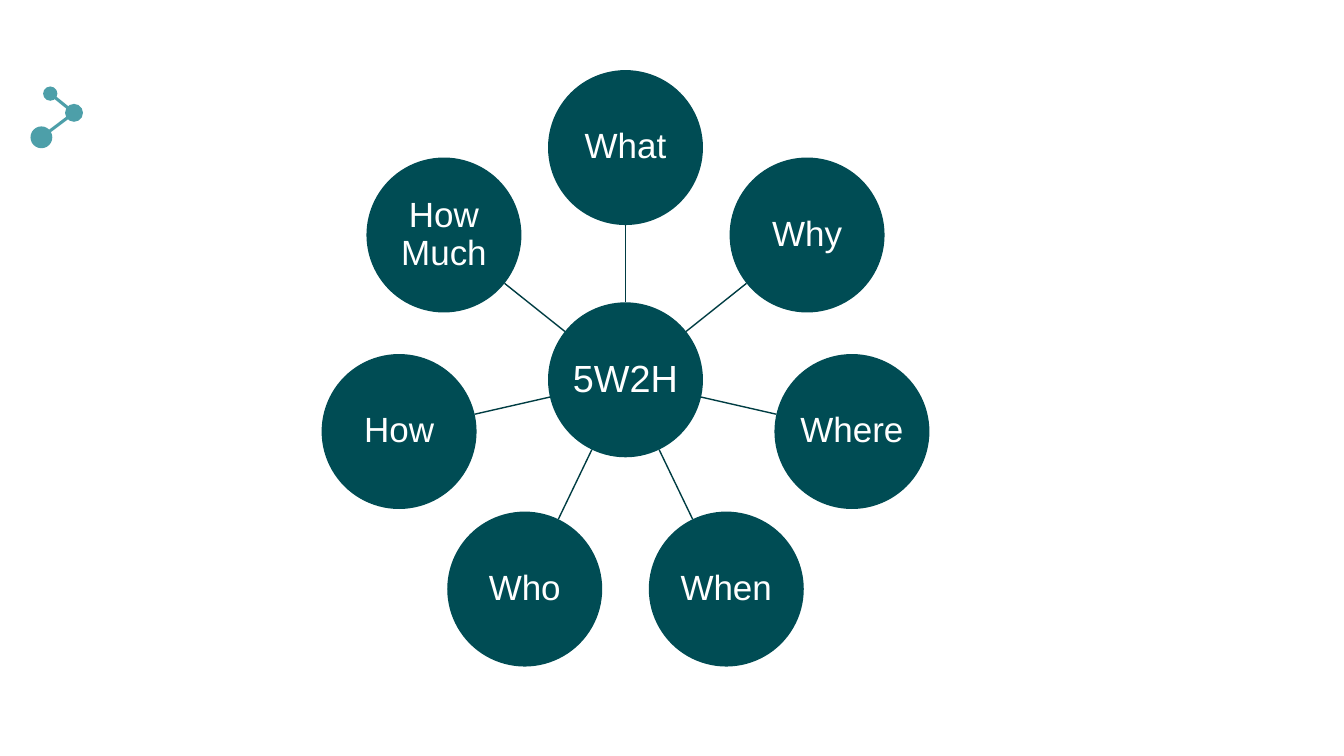
from itertools import pairwise
from math import cos, pi, sin

from lxml import etree
from pptx import Presentation
from pptx.dml.color import RGBColor
from pptx.enum.shapes import MSO_CONNECTOR, MSO_SHAPE
from pptx.enum.text import MSO_ANCHOR, PP_ALIGN
from pptx.oxml.ns import qn
from pptx.util import Pt

OVAL = MSO_SHAPE.OVAL
STRAIGHT = MSO_CONNECTOR.STRAIGHT
MIDDLE = MSO_ANCHOR.MIDDLE
CENTER = PP_ALIGN.CENTER

DARK_TEAL = RGBColor(0x00, 0x4C, 0x54)
SPOKE_TEAL = RGBColor(0x00, 0x3D, 0x43)
LIGHT_TEAL = RGBColor(0x4D, 0x9F, 0xA9)
WHITE = RGBColor(0xFF, 0xFF, 0xFF)

HUB = (446.8, 271.3)
RING_RADIUS = 165.9
NODE_RADIUS = 55.35
HUB_LABEL = "5W2H"
QUESTIONS = ["What", "Why", "Where", "When", "Who", "How", "How Much"]

# Corner motif: centre x, centre y, radius
MOTIF_DOTS = [(35.9, 66.9, 5.1), (52.9, 80.6, 6.4), (29.6, 98.1, 7.8)]


class Painter:
    """Draws styled elements on the current slide."""

    font = "Arial"
    inset = Pt(1.2)
    line_spacing = 0.9

    def __init__(self, page):
        self.page = page

    def line(self, start, end, color, width):
        link = self.page.shapes.add_connector(
            STRAIGHT, *(Pt(value) for value in (*start, *end)))
        link.line.color.rgb = color
        link.line.width = Pt(width)
        etree.SubElement(link._element.spPr, qn("a:effectLst"))

    def circle(self, center, radius, color):
        x, y = center
        disc = self.page.shapes.add_shape(
            OVAL, Pt(x - radius), Pt(y - radius), Pt(2 * radius), Pt(2 * radius))
        disc.shadow.inherit = False
        disc.fill.solid()
        disc.fill.fore_color.rgb = color
        disc.line.fill.background()
        return disc

    def node(self, center, label, size):
        box = self.circle(center, NODE_RADIUS, DARK_TEAL).text_frame
        box.word_wrap = True
        box.vertical_anchor = MIDDLE
        box.margin_left = box.margin_right = self.inset
        box.margin_top = box.margin_bottom = self.inset
        para = box.paragraphs[0]
        para.alignment = CENTER
        para.line_spacing = self.line_spacing
        span = para.add_run()
        span.text = label
        span.font.name = self.font
        span.font.size = Pt(size)
        span.font.color.rgb = WHITE


def around_hub(angle, radius):
    return HUB[0] + radius * sin(angle), HUB[1] - radius * cos(angle)


def main():
    deck = Presentation()
    deck.slide_width, deck.slide_height = Pt(960), Pt(540)
    page = deck.slides.add_slide(deck.slide_layouts[6])
    painter = Painter(page)

    # Corner motif
    for (x1, y1, _), (x2, y2, _) in pairwise(MOTIF_DOTS):
        painter.line((x1, y1), (x2, y2), LIGHT_TEAL, 2.2)
    for x, y, radius in MOTIF_DOTS:
        painter.circle((x, y), radius, LIGHT_TEAL)

    # Hub, then each question with its spoke, clockwise from the top
    painter.node(HUB, HUB_LABEL, 27)
    for index, question in enumerate(QUESTIONS):
        angle = 2 * pi * index / len(QUESTIONS)
        painter.line(around_hub(angle, NODE_RADIUS),
                     around_hub(angle, RING_RADIUS - NODE_RADIUS), SPOKE_TEAL, 1)
        painter.node(around_hub(angle, RING_RADIUS), question, 25)

    deck.save("out.pptx")


if __name__ == "__main__":
    main()
